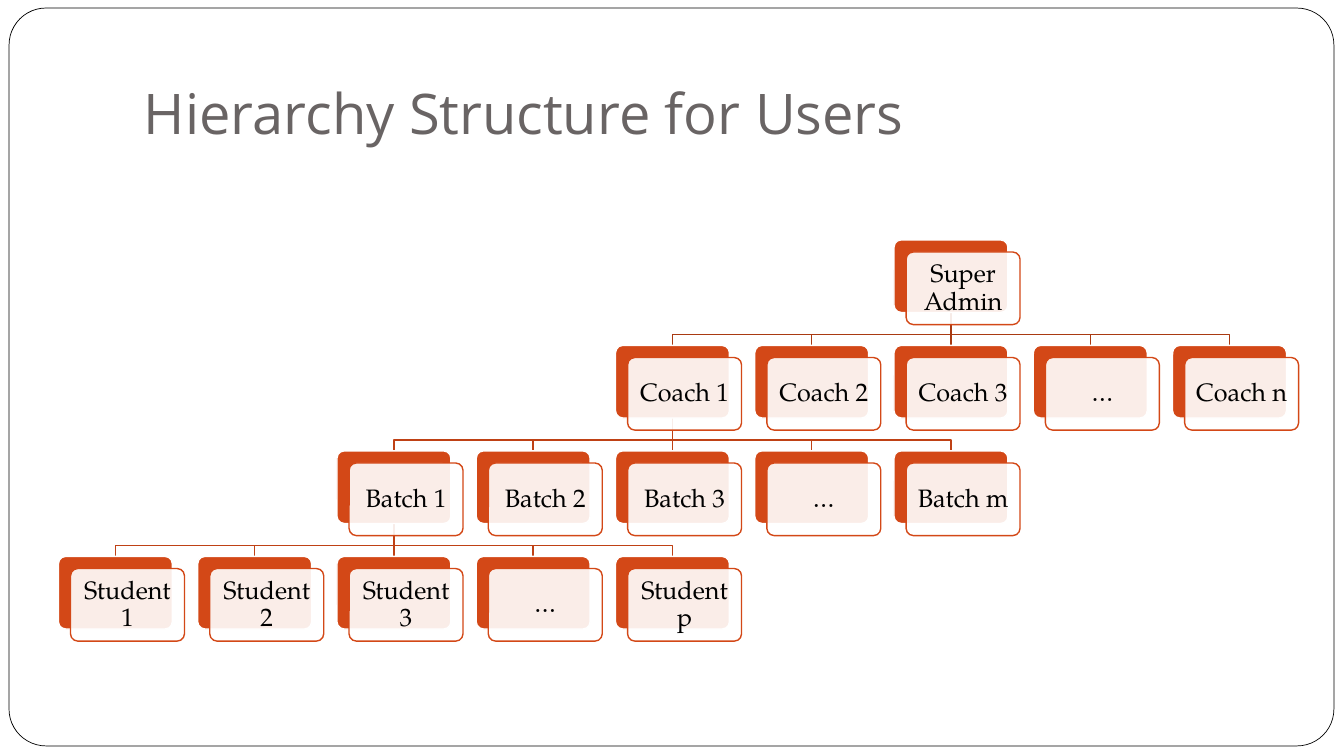
from lxml import etree
from pptx import Presentation
from pptx import util as u
from pptx.dml.color import RGBColor
from pptx.enum import shapes, text
from pptx.oxml import ns

WHITE = RGBColor(0xFF, 0xFF, 0xFF)
BLACK = RGBColor(0x00, 0x00, 0x00)
ORANGE = RGBColor(0xD3, 0x48, 0x17)
ROOT_LINE = RGBColor(0xA9, 0x3A, 0x12)
BRANCH_LINE = RGBColor(0xBF, 0x41, 0x15)
TITLE_GREY = RGBColor(0x69, 0x64, 0x64)

CARD_WIDTH, CARD_HEIGHT = 1.13, 0.72
CARD_OFFSET = 0.12
LEFT, TOP = 0.58, 2.38
COLUMN_PITCH = 11.05 / 8
ROW_PITCH = 3.14 / 3
BAR_DROP = 0.22

# Each level: first column, column of the parent, line colour, labels
LEVELS = [
    (6, None, None, ["Super Admin"]),
    (4, 6, ROOT_LINE, ["Coach 1", "Coach 2", "Coach 3", "…", "Coach n"]),
    (2, 4, BRANCH_LINE, ["Batch 1", "Batch 2", "Batch 3", "…", "Batch m"]),
    (0, 2, BRANCH_LINE,
     ["Student 1", "Student 2", "Student 3", "…", "Student p"]),
]

presentation = Presentation()
presentation.slide_width = u.Inches(13.33)
presentation.slide_height = u.Inches(7.5)
slide = presentation.slides.add_slide(presentation.slide_layouts[6])


def add_round_box(left, top, width, height, corner, fill, line, line_width):
    shape = slide.shapes.add_shape(
        shapes.MSO_SHAPE.ROUNDED_RECTANGLE, u.Inches(left), u.Inches(top),
        u.Inches(width), u.Inches(height))
    shape.adjustments[0] = corner
    shape.shadow.inherit = False
    shape.fill.solid()
    shape.fill.fore_color.rgb = fill
    shape.line.color.rgb = line
    shape.line.width = u.Pt(line_width)
    return shape


def format_text(shape, size, font, color):
    for paragraph in shape.text_frame.paragraphs:
        for run in paragraph.runs:
            run.font.size = u.Pt(size)
            run.font.name = font
            run.font.color.rgb = color


# Slide frame
add_round_box(0.09, 0.08, 13.14, 7.32, 0.05, WHITE, BLACK, 0.5)

# Lines from each parent to its children
for row, (first_column, parent_column, color, labels) in enumerate(LEVELS):
    if parent_column is None:
        continue
    parent_x = u.Inches(LEFT + parent_column * COLUMN_PITCH + CARD_WIDTH / 2)
    child_y = u.Inches(TOP + row * ROW_PITCH)
    parent_y = u.Inches(TOP + (row - 1) * ROW_PITCH + CARD_HEIGHT)
    bar_y = parent_y + u.Inches(BAR_DROP)
    for column in range(first_column, first_column + len(labels)):
        child_x = u.Inches(LEFT + column * COLUMN_PITCH + CARD_WIDTH / 2)
        if column == parent_column:
            link = slide.shapes.add_connector(
                shapes.MSO_CONNECTOR.STRAIGHT,
                parent_x, parent_y, child_x, child_y)
            etree.SubElement(link.line._get_or_add_ln().getparent(),
                             ns.qn("a:effectLst"))
        else:
            builder = slide.shapes.build_freeform(parent_x, parent_y)
            builder.add_line_segments(
                [(parent_x, bar_y), (child_x, bar_y), (child_x, child_y)],
                close=False)
            link = builder.convert_to_shape()
            link.fill.background()
            link.shadow.inherit = False
        link.line.color.rgb = color
        link.line.width = u.Pt(1)

# Cards: an orange back and a translucent front with the label
for row, (first_column, _, _, labels) in enumerate(LEVELS):
    top = TOP + row * ROW_PITCH
    for column, label in enumerate(labels, first_column):
        left = LEFT + column * COLUMN_PITCH
        add_round_box(left, top, CARD_WIDTH, CARD_HEIGHT, 0.1,
                      ORANGE, WHITE, 1)
        card = add_round_box(left + CARD_OFFSET, top + CARD_OFFSET,
                             CARD_WIDTH, CARD_HEIGHT, 0.1, WHITE, ORANGE, 1)
        fill_color = card.fill._xPr.find(ns.qn("a:solidFill"))[0]
        etree.SubElement(fill_color, ns.qn("a:alpha"), val="90000")
        frame = card.text_frame
        frame.text = label
        frame.word_wrap = True
        frame.vertical_anchor = text.MSO_ANCHOR.MIDDLE
        frame.margin_left = frame.margin_right = u.Inches(0.07)
        frame.margin_top = frame.margin_bottom = u.Inches(0.07)
        frame.paragraphs[0].alignment = text.PP_ALIGN.CENTER
        frame.paragraphs[0].line_spacing = 0.9
        format_text(card, 18, "TeX Gyre Pagella", BLACK)

# Title
title = slide.shapes.add_textbox(
    u.Inches(1.33), u.Inches(0.3), u.Inches(11.33), u.Inches(1.25))
title.text_frame.text = "Hierarchy Structure for Users"
title.text_frame.word_wrap = True
title.text_frame.vertical_anchor = text.MSO_ANCHOR.BOTTOM
title.text_frame.margin_bottom = u.Inches(0.1)
format_text(title, 40, "Open Sans", TITLE_GREY)

presentation.save("out.pptx")
